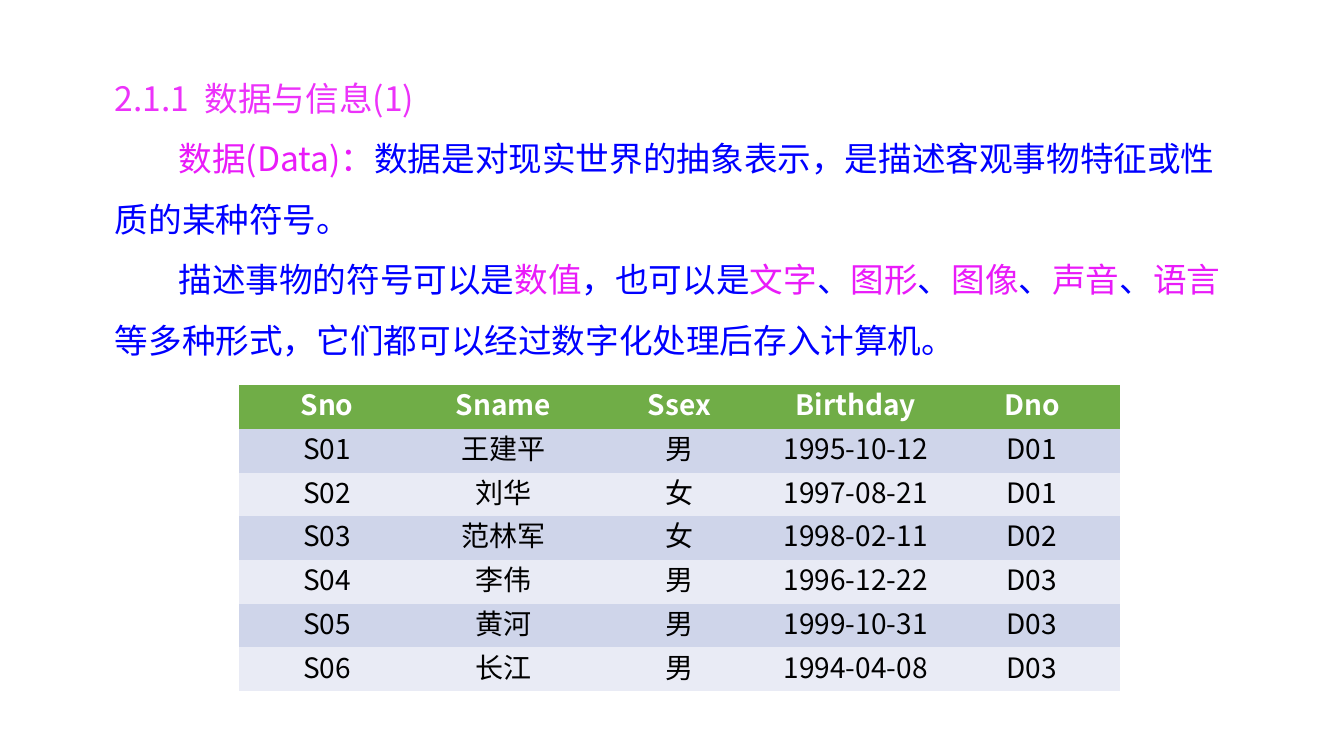
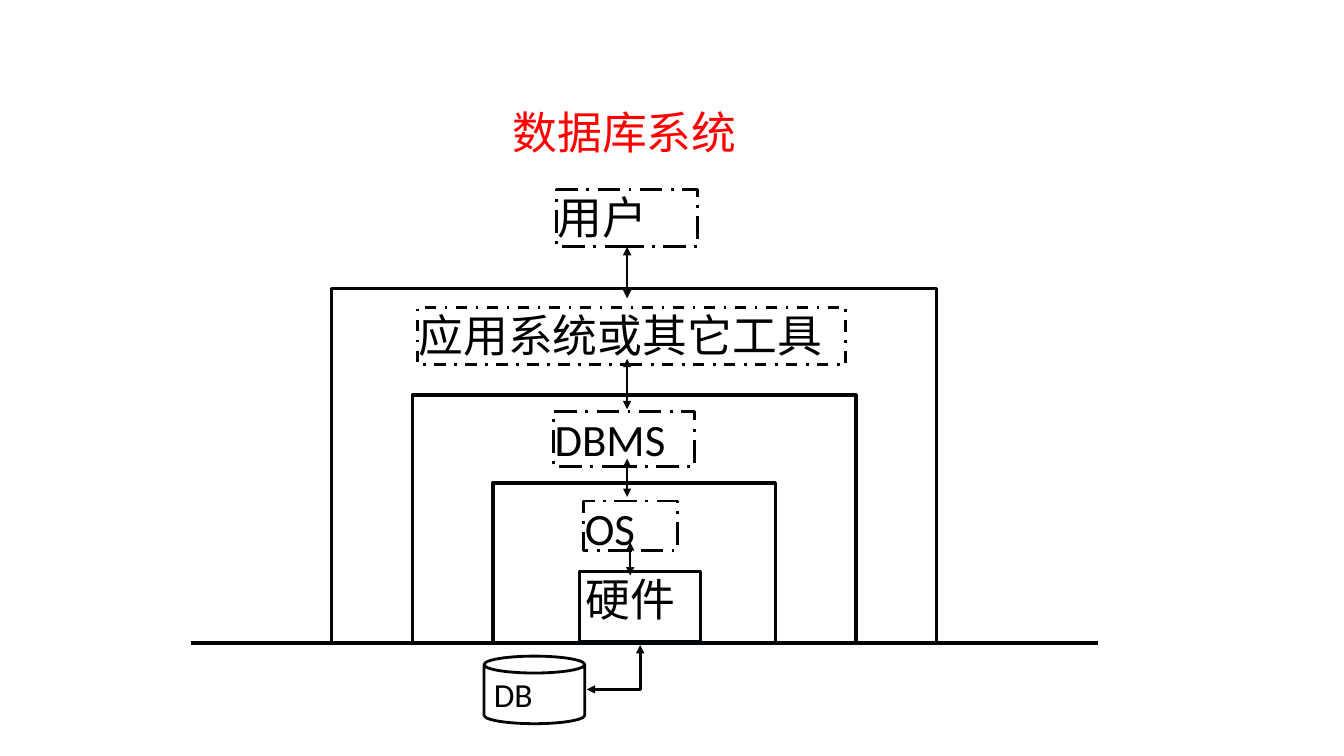
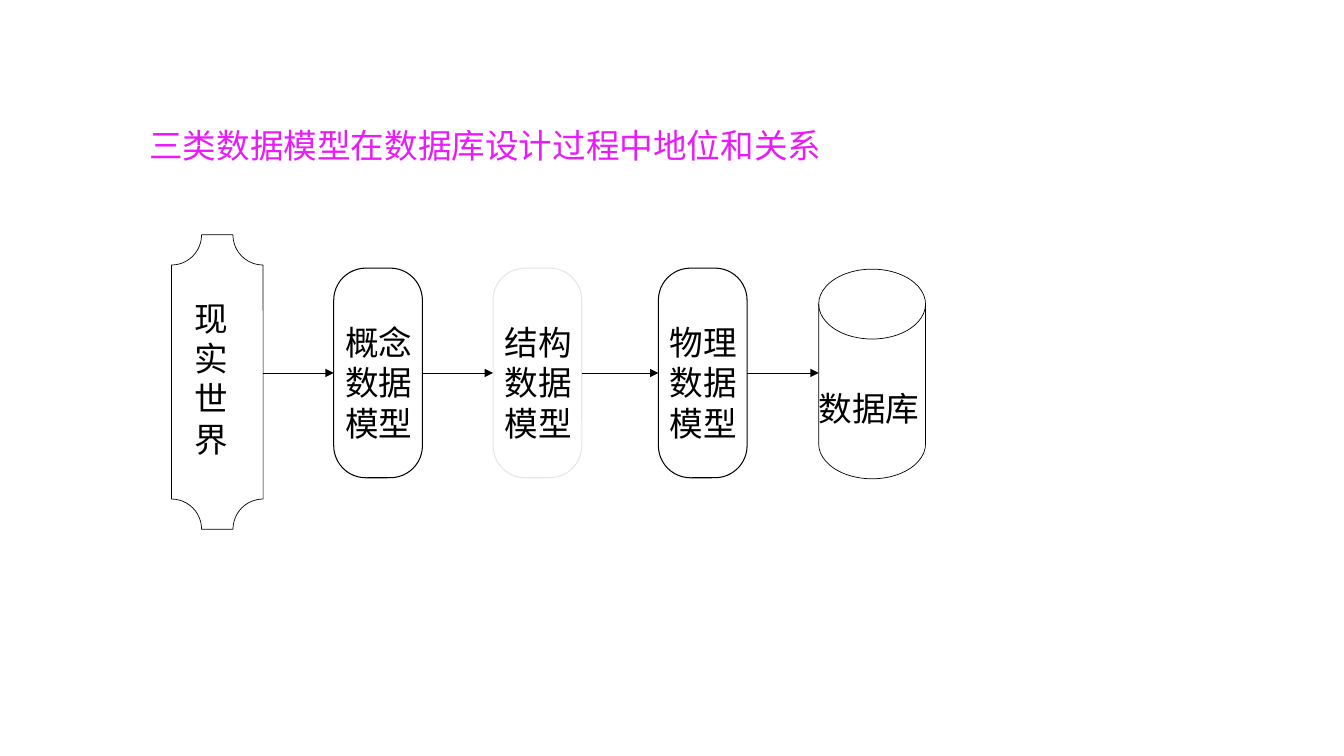
from pptx import Presentation
from pptx.dml.color import RGBColor
from pptx.enum.dml import MSO_LINE
from pptx.enum.shapes import MSO_CONNECTOR, MSO_SHAPE
from pptx.enum.text import MSO_ANCHOR, MSO_AUTO_SIZE, PP_ALIGN
from pptx.oxml.ns import qn
from pptx.util import Inches, Pt
from lxml.etree import SubElement

SANS = "Noto Sans CJK SC"
LATIN = "Calibri"
PINK, BLUE, RED = "E91BF9", "0000FF", "FF0000"
BLACK, WHITE, INK, GRAY = "000000", "FFFFFF", "020508", "E7E6E6"
GREEN, BAND, PALE = "70AD47", "CFD5EA", "E9EBF5"
PLAIN = "{2D5ABB26-0587-4C30-8999-92F81FD0307C}"
ROWS = [
    ("Sno", "Sname", "Ssex", "Birthday", "Dno"),
    ("S01", "王建平", "男", "1995-10-12", "D01"),
    ("S02", "刘华", "女", "1997-08-21", "D01"),
    ("S03", "范林军", "女", "1998-02-11", "D02"),
    ("S04", "李伟", "男", "1996-12-22", "D03"),
    ("S05", "黄河", "男", "1999-10-31", "D03"),
    ("S06", "长江", "男", "1994-04-08", "D03"),
]
NOTES = [
    "|数据(Data)：|数据是对现实世界的抽象表示，是描述客观事物特征或性质的某种符号。",
    "描述事物的符号可以是|数值|，也可以是|文字|、|图形|、|图像|、|声音|、|语言|"
    "等多种形式，它们都可以经过数字化处理后存入计算机。",
]


def paint(target, code):
    if hasattr(target, "solid"):
        target.solid()
        target = target.fore_color
    target.rgb = RGBColor.from_string(code)


def style(run, size, code, name=SANS, bold=False):
    font = run.font
    font.size, font.bold, font.name = Pt(size), bold, name
    paint(font.color, code)
    SubElement(run._r.get_or_add_rPr(), qn("a:ea")).set("typeface", SANS)


def layout(par, size, align=PP_ALIGN.LEFT, ratio=1.2):
    par.alignment = align
    par.line_spacing = Pt(round(size * ratio, 1))
    par.space_before = Pt(0)


def place(shape, box):
    shape.left, shape.top, shape.width, shape.height = map(Inches, box)
    frame = shape.text_frame
    frame.word_wrap = True
    frame.auto_size = MSO_AUTO_SIZE.NONE
    frame.vertical_anchor = MSO_ANCHOR.TOP
    return frame


def title(slide, text, box, size=24, code=PINK, align=PP_ALIGN.LEFT, ratio=1.2):
    frame = place(slide.shapes.title, box)
    frame.text = text
    par = frame.paragraphs[0]
    layout(par, size, align, ratio)
    style(par.runs[0], size, code)


def body(slide, notes, box):
    frame = place(slide.placeholders[1], box)
    frame.margin_top = 0
    for i, note in enumerate(notes):
        par = frame.add_paragraph() if i else frame.paragraphs[0]
        layout(par, 24, ratio=1.8)
        props = par._p.get_or_add_pPr()
        props.set("marL", "0")
        props.set("indent", str(Inches(0.63)))
        SubElement(props, qn("a:buNone"))
        for j, part in enumerate(note.split("|")):
            if part:
                run = par.add_run()
                run.text = part
                style(run, 24, PINK if j % 2 else BLUE)


def grid(slide, rows, box):
    frame = slide.shapes.add_table(len(rows), len(rows[0]), *map(Inches, box))
    table = frame.table
    table._tbl.tblPr.find(qn("a:tableStyleId")).text = PLAIN
    for i, row in enumerate(rows):
        fill = BAND if i % 2 else PALE
        for j, text in enumerate(row):
            cell = table.cell(i, j)
            cell.text = text
            cell.vertical_anchor = MSO_ANCHOR.MIDDLE
            paint(cell.fill, fill if i else GREEN)
            par = cell.text_frame.paragraphs[0]
            layout(par, 20, PP_ALIGN.CENTER)
            style(par.runs[0], 20, BLACK if i else WHITE, bold=not i)


def block(slide, kind, box, text="", size=32, inset=(0, 0, 0, 0),
          code=INK, width=2.5, dash=None, fill=WHITE, adj=None):
    shape = slide.shapes.add_shape(kind, *map(Inches, box))
    shape.shadow.inherit = False
    if adj is not None:
        shape.adjustments[0] = adj
    if fill:
        paint(shape.fill, fill)
    else:
        shape.fill.background()
    paint(shape.line.fill, code)
    shape.line.width = Pt(width)
    if dash:
        shape.line.dash_style = dash
    if text:
        frame = place(shape, box)
        (frame.margin_left, frame.margin_top,
         frame.margin_right, frame.margin_bottom) = map(Inches, inset)
        frame.text = text
        par = frame.paragraphs[0]
        layout(par, size)
        style(par.runs[0], size, BLACK, LATIN)
    return shape


def link(slide, start, end, width, code=INK, ends=(), kind=MSO_CONNECTOR.STRAIGHT):
    line = slide.shapes.add_connector(kind, *map(Inches, start + end))
    paint(line.line.fill, code)
    line.line.width = Pt(width)
    props = line.element.spPr
    for tag in ends:
        SubElement(props.find(qn("a:ln")), qn("a:" + tag)).set("type", "triangle")
    SubElement(props, qn("a:effectLst"))
    return line


def data(deck):
    slide = deck.slides.add_slide(deck.slide_layouts[1])
    title(slide, "2.1.1  数据与信息(1)", (1.04, 0.52, 11.2, 0.65),
          code="EC32FA", ratio=1.8)
    body(slide, NOTES, (1.04, 1.17, 11.2, 2.46))
    grid(slide, ROWS, (2.37, 3.82, 8.74, 3.03))


def system(deck):
    slide = deck.slides.add_slide(deck.slide_layouts[5])
    title(slide, "数据库系统", (4.97, 0.99, 2.45, 0.64), 32, RED, PP_ALIGN.CENTER)
    rect, base, both = MSO_SHAPE.RECTANGLE, 6.38, ("headEnd", "tailEnd")
    for i, top in enumerate((2.86, 3.92, 4.79)):
        block(slide, rect, (3.29 + 0.8 * i, top, 6 - 1.6 * i, base - top))
    block(slide, rect, (5.75, 5.67, 1.2, 0.7), "硬件", inset=(0.06, 0, 0.06, 0))
    link(slide, (1.89, base), (10.89, base), 2.5)
    long = MSO_LINE.LONG_DASH_DOT
    for text, box, dash in (
        ("OS", (5.79, 4.97, 0.93, 0.49), long),
        ("DBMS", (5.49, 4.08, 1.4, 0.55), long),
        ("应用系统或其它工具", (4.14, 3.05, 4.25, 0.57), MSO_LINE.DASH_DOT),
        ("用户", (5.52, 1.88, 1.4, 0.57), long),
    ):
        user = block(slide, rect, box, text, inset=(0.01, 0, 0.01, 0),
                     width=2, dash=dash)
    disk = block(slide, MSO_SHAPE.CAN, (4.8, 6.51, 1, 0.67), "DB", 24,
                 (0.1, 0.05, 0.1, 0.05), width=2, fill=None, adj=0.25)
    disk.text_frame.vertical_anchor = MSO_ANCHOR.MIDDLE
    bend = link(slide, (5.82, 6.84), (6.35, 6.4), 2, ends=both,
                kind=MSO_CONNECTOR.ELBOW)
    bend.element.spPr.find(qn("a:prstGeom")).set("prst", "bentConnector2")
    first = link(slide, (6.22, 2.45), (6.22, 2.96), 1.5, ends=both)
    first.begin_connect(user, 2)
    for x, top, end in ((6.22, 3.56, 4.06), (6.22, 4.55, 4.93), (6.25, 5.38, 5.71)):
        link(slide, (x, top), (x, end), 1.5, ends=both)


def models(deck):
    slide = deck.slides.add_slide(deck.slide_layouts[5])
    title(slide, "三类数据模型在数据库设计过程中地位和关系", (1.38, 1.19, 6.93, 0.5))
    mid = 3.7
    block(slide, MSO_SHAPE.PLAQUE, (1.7, 2.33, 0.91, 2.92), "现实世界", 24,
          (0.02, 0.41, 0, 0), BLACK, 0.5, adj=0.329)
    steps = [
        block(slide, MSO_SHAPE.ROUNDED_RECTANGLE, (x, 2.66, 0.88, 2.08), text, 24,
              (0.02, 0.44, 0, 0), code, 0.75, adj=0.362)
        for x, text, code in ((3.31, "概念数据模型", BLACK),
                              (4.89, "结构数据模型", GRAY),
                              (6.53, "物理数据模型", BLACK))
    ]
    block(slide, MSO_SHAPE.FLOWCHART_MAGNETIC_DISK, (8.12, 2.67, 1.06, 2.08),
          "数据库", 24, (0, 0.48, 0, 0), BLACK, 0.5)
    spans = ((2.61, 3.31), (4.19, 4.89), (5.77, 6.53), (7.41, 8.12))
    for (x, end), start, stop in zip(spans, [None] + steps, steps + [None]):
        line = link(slide, (x, mid), (end, mid), 0.5, BLACK, ("tailEnd",))
        if start:
            line.begin_connect(start, 3)
        if stop:
            line.end_connect(stop, 1)


def main():
    deck = Presentation()
    deck.slide_width, deck.slide_height = Inches(13.33), Inches(7.5)
    for build in (data, system, models):
        build(deck)
    deck.save("out.pptx")


if __name__ == "__main__":
    main()
